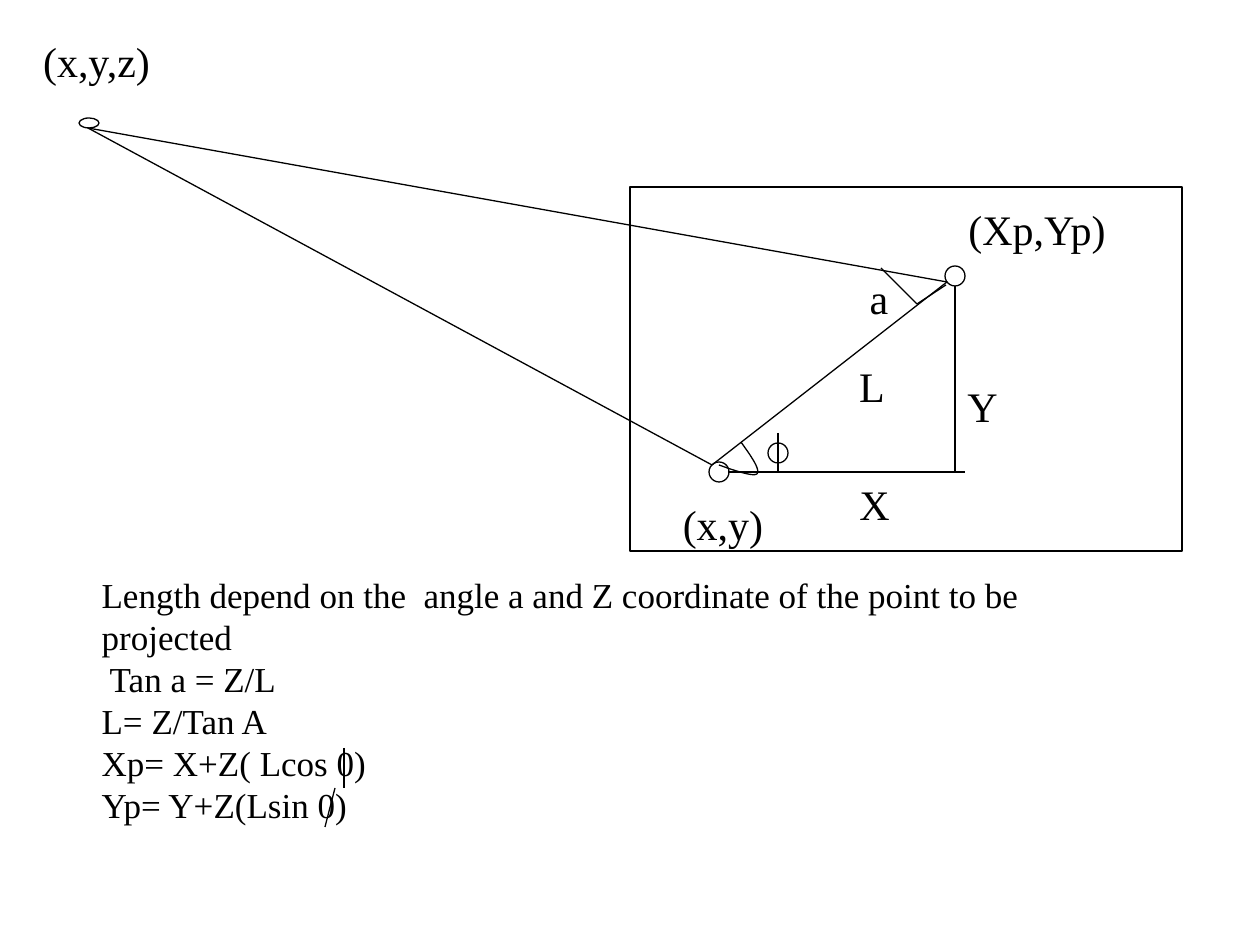
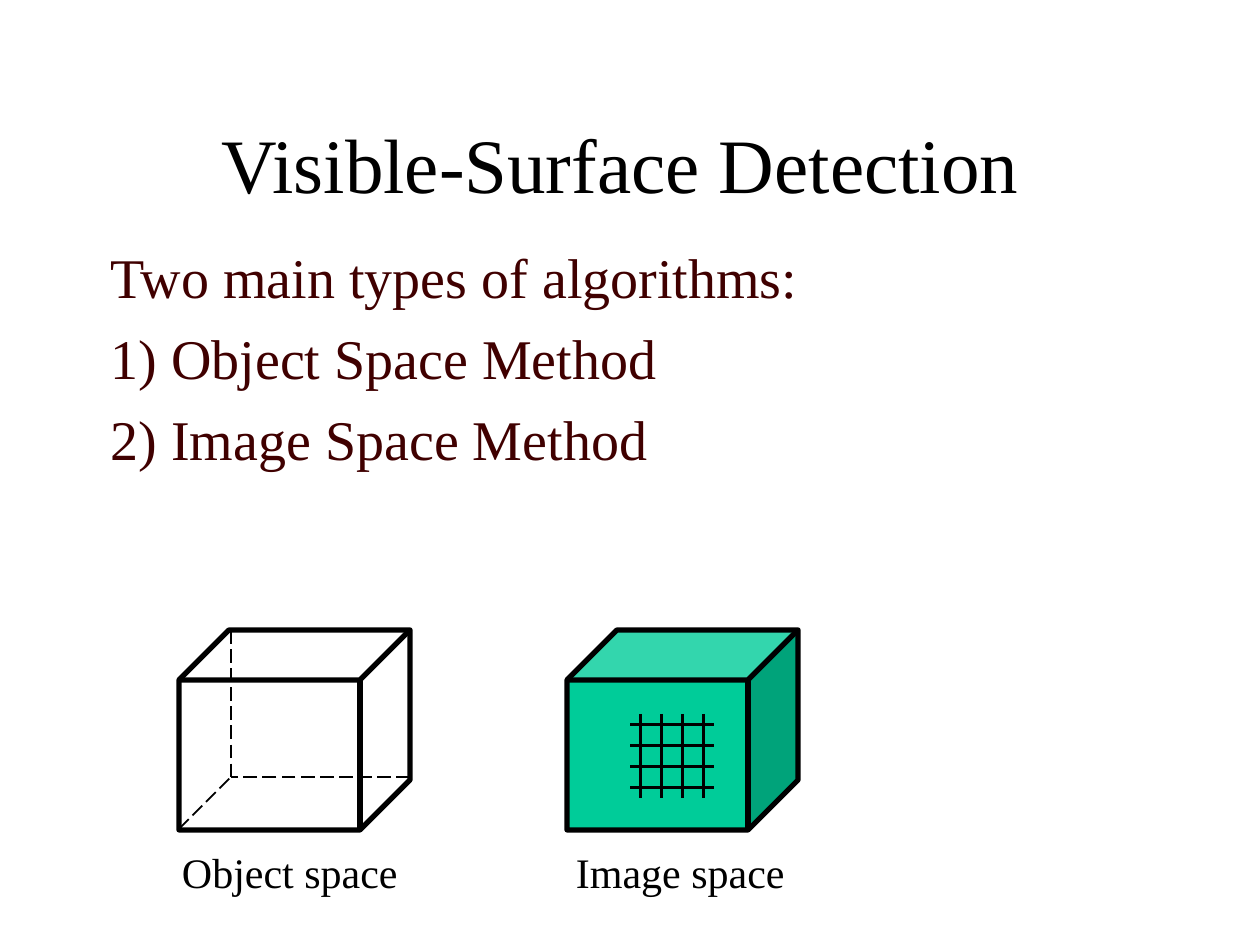
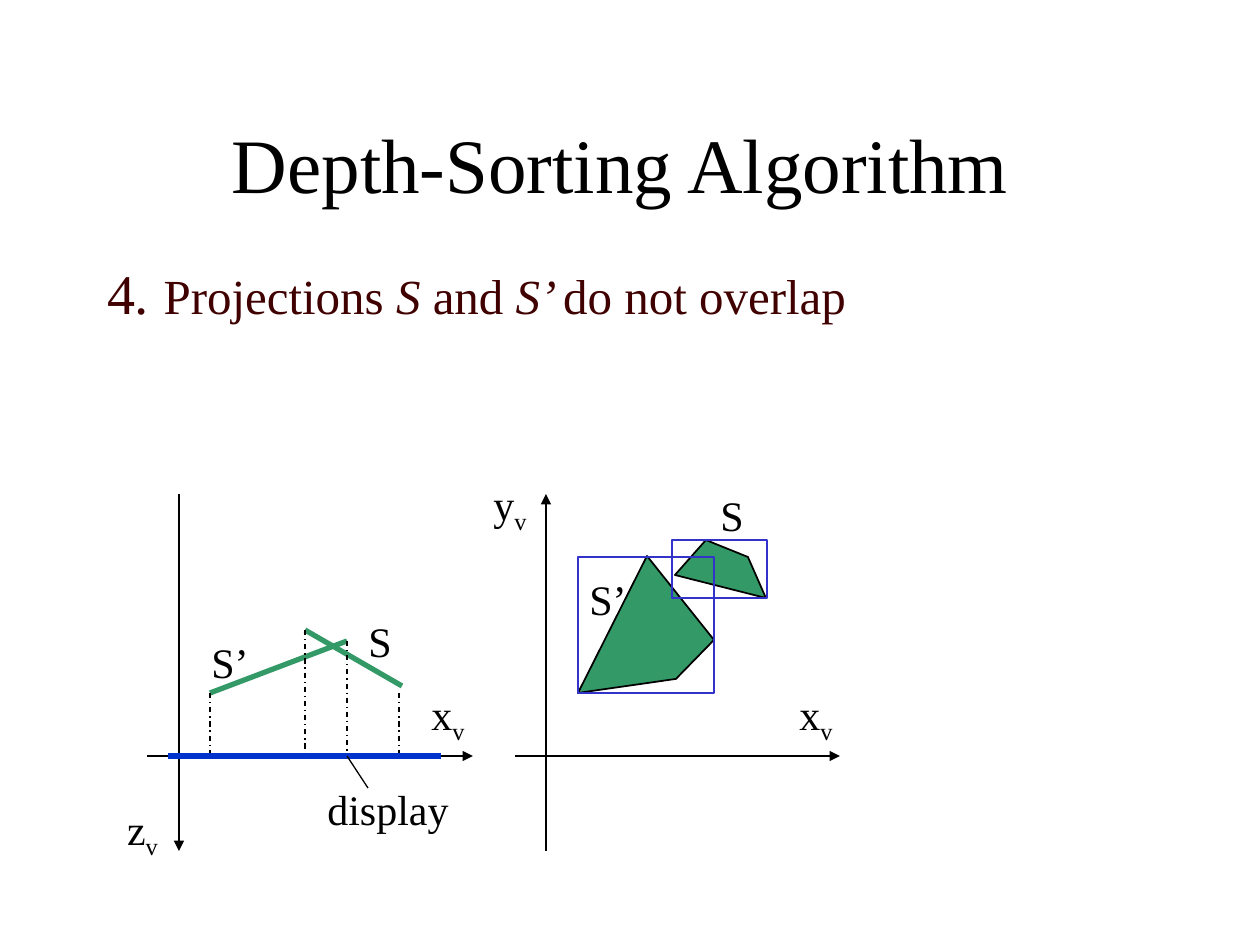
from dataclasses import dataclass

from lxml.etree import SubElement
from pptx import Presentation
from pptx.dml.color import RGBColor
from pptx.enum.dml import MSO_LINE
from pptx.enum.shapes import MSO_CONNECTOR, MSO_SHAPE
from pptx.enum.text import MSO_ANCHOR, MSO_AUTO_SIZE, PP_ALIGN
from pptx.oxml.ns import qn
from pptx.util import Emu, Pt

EMU_PER_PX = 914400 / 126
FONT = "Times New Roman"
LINE_HEIGHT = 1.2
TITLE_SIZE, BODY_SIZE, LABEL_SIZE, FORMULA_SIZE = 44, 32, 24, 20
THIN, MEDIUM, GRID, THICK = 0.75, 1, 1.5, 3

BLACK = RGBColor(0x00, 0x00, 0x00)
MAROON = RGBColor(0x40, 0x00, 0x00)
MINT = RGBColor(0x00, 0xCC, 0x99)
GREEN = RGBColor(0x33, 0x99, 0x66)
DISPLAY_BLUE = RGBColor(0x00, 0x33, 0xCC)
BOUNDS_BLUE = RGBColor(0x33, 0x33, 0xCC)

Point = tuple[float, float]
Box = tuple[int, int, int, int]

TITLE_BOX = (85, 84, 1071, 158)


@dataclass(frozen=True)
class Label:
    text: str
    left: int
    top: int
    width: int
    subscript: str = ""
    tab_stop: int = 0


@dataclass(frozen=True)
class Line:
    start: Point
    end: Point
    width: float = THIN
    color: RGBColor = BLACK
    dash: MSO_LINE | None = None
    arrow: bool = False


@dataclass(frozen=True)
class Run:
    text: str
    size: int
    italic: bool = False


def px(length: float) -> Emu:
    return Emu(round(length * EMU_PER_PX))


def style_paragraph(paragraph, size: int, color: RGBColor, align=PP_ALIGN.LEFT) -> None:
    paragraph.alignment = align
    paragraph.line_spacing = Pt(size * LINE_HEIGHT)
    font = paragraph.font
    font.name, font.size = FONT, Pt(size)
    font.color.rgb = color


def prepare_placeholder(placeholder, box: Box, anchor):
    """Move a placeholder and return its text frame, ready to fill."""
    placeholder.left, placeholder.top, placeholder.width, placeholder.height = map(px, box)
    frame = placeholder.text_frame
    frame.auto_size = MSO_AUTO_SIZE.NONE
    frame.word_wrap = True
    frame.vertical_anchor = anchor
    return frame


def set_title(slide, title: str) -> None:
    frame = prepare_placeholder(slide.shapes.title, TITLE_BOX, MSO_ANCHOR.MIDDLE)
    frame.text = title
    style_paragraph(frame.paragraphs[0], TITLE_SIZE, BLACK, PP_ALIGN.CENTER)


def set_body(slide, box: Box, items: list[list[Run]]) -> None:
    frame = prepare_placeholder(slide.placeholders[1], box, MSO_ANCHOR.TOP)
    for index, runs in enumerate(items):
        paragraph = frame.add_paragraph() if index else frame.paragraphs[0]
        properties = paragraph._p.get_or_add_pPr()
        properties.set("marL", "0")
        properties.set("indent", "0")
        SubElement(properties, qn("a:buNone"))
        paragraph.space_before = Pt(8 if index else 0)
        style_paragraph(paragraph, BODY_SIZE, MAROON)
        for part in runs:
            run = paragraph.add_run()
            run.text = part.text
            if part.size != BODY_SIZE:
                run.font.size = Pt(part.size)
            if part.italic:
                run.font.italic = True


def add_label(slide, label: Label) -> None:
    box = slide.shapes.add_textbox(px(label.left), px(label.top), px(label.width), px(63))
    frame = box.text_frame
    frame.word_wrap = False
    frame.margin_left = frame.margin_right = px(10)
    paragraph = frame.paragraphs[0]
    if label.tab_stop:
        tabs = SubElement(paragraph._p.get_or_add_pPr(), qn("a:tabLst"))
        SubElement(tabs, qn("a:tab"), pos=str(px(label.tab_stop)), algn="l")
    align = PP_ALIGN.LEFT if label.tab_stop else PP_ALIGN.CENTER
    style_paragraph(paragraph, LABEL_SIZE, BLACK, align)
    paragraph.add_run().text = label.text
    if label.subscript:
        run = paragraph.add_run()
        run.text = label.subscript
        run._r.get_or_add_rPr().set("baseline", "-25000")


def add_line(slide, line: Line) -> None:
    connector = slide.shapes.add_connector(
        MSO_CONNECTOR.STRAIGHT, *map(px, (*line.start, *line.end)))
    connector.line.width = Pt(line.width)
    connector.line.color.rgb = line.color
    if line.dash:
        connector.line.dash_style = line.dash
    properties = connector.element.spPr
    if line.arrow:
        SubElement(properties.find(qn("a:ln")), qn("a:tailEnd"), type="triangle")
    SubElement(properties, qn("a:effectLst"))


def outline(shape, width: float, color: RGBColor = BLACK, fill: RGBColor | None = None) -> None:
    shape.shadow.inherit = False
    shape.line.width = Pt(width)
    shape.line.color.rgb = color
    if fill is None:
        shape.fill.background()
    else:
        shape.fill.solid()
        shape.fill.fore_color.rgb = fill


def add_preset(slide, preset, box: Box, width: float, color: RGBColor = BLACK,
               fill: RGBColor | None = None) -> None:
    outline(slide.shapes.add_shape(preset, *map(px, box)), width, color, fill)


def add_path(slide, points: list[Point], width: float, fill: RGBColor | None = None) -> None:
    """Draw a polyline, closed only when it has a fill."""
    first, *rest = [(px(x), px(y)) for x, y in points]
    builder = slide.shapes.build_freeform(*first)
    builder.add_line_segments(rest, close=fill is not None)
    outline(builder.convert_to_shape(), width, fill=fill)


def bezier(p0: Point, p1: Point, p2: Point, p3: Point, steps: int = 12) -> list[Point]:
    """Sample a cubic curve, both ends included."""
    def at(t: float) -> Point:
        weights = ((1 - t) ** 3, 3 * t * (1 - t) ** 2, 3 * t * t * (1 - t), t ** 3)
        x, y = (sum(w * p[axis] for w, p in zip(weights, (p0, p1, p2, p3))) for axis in (0, 1))
        return x, y
    return [at(step / steps) for step in range(steps + 1)]


def build_projection(slide) -> None:
    formulas = [
        "Length depend on the  angle a and Z coordinate of the point to be projected",
        " Tan a = Z/L",
        "L= Z/Tan A",
        "Xp= X+Z( Lcos 0)",
        "Yp= Y+Z(Lsin 0)",
    ]
    frame = prepare_placeholder(slide.shapes.title, (89, 567, 1071, 270), MSO_ANCHOR.TOP)
    frame.text = "\v".join(formulas)
    style_paragraph(frame.paragraphs[0], FORMULA_SIZE, BLACK)

    add_preset(slide, MSO_SHAPE.RECTANGLE, (630, 187, 552, 364), THIN)

    source, foot, projected = (88, 128), (712, 465), (947, 282)
    zero_strokes = [Line((344, 748), (344, 788)), Line((335, 788), (325, 827))]
    for line in [
        Line(source, foot),
        Line(source, projected),
        Line(foot, projected),
        Line((728, 472), (965, 472)),
        Line((955, 286), (955, 472)),
        *zero_strokes,
    ]:
        add_line(slide, line)

    for dot in [(79, 118, 20, 10), (709, 462, 20, 20), (945, 266, 20, 20), (768, 443, 20, 20)]:
        add_preset(slide, MSO_SHAPE.OVAL, dot, THIN)
    add_line(slide, Line((778, 433), (778, 472)))

    angle_tip = (757, 474)
    angle_arc = (bezier((741, 442), (751, 456), (761, 470), angle_tip)
                 + bezier(angle_tip, (753, 478), (719, 465), (719, 465))[1:])
    add_path(slide, angle_arc, THIN)
    add_path(slide, [(881, 268), (917, 304), (946, 285)], THIN)

    for label in [
        Label("(x,y,z)", 29, 29, 135),
        Label("(x,y)", 670, 492, 106),
        Label("(Xp,Yp)", 954, 197, 166),
        Label("Y", 955, 374, 55),
        Label("X", 847, 472, 55),
        Label("L", 847, 354, 50),
        Label("a", 857, 266, 44),
    ]:
        add_label(slide, label)


def build_surface_detection(slide) -> None:
    set_title(slide, "Visible-Surface Detection")
    items = ["Two main types of algorithms:", "1) Object Space Method", "2) Image Space Method"]
    set_body(slide, (98, 236, 1061, 546), [[Run(item, BODY_SIZE)] for item in items])

    for left, fill in [(179, None), (567, MINT)]:
        add_preset(slide, MSO_SHAPE.CUBE, (left, 630, 231, 200), THICK, fill=fill)

    hidden_corner = (231, 777)
    for visible_corner in [(231, 630), (410, 777), (179, 829)]:
        add_line(slide, Line(visible_corner, hidden_corner, MEDIUM, dash=MSO_LINE.LONG_DASH))

    grid_left, grid_top, grid_side, grid_step = 630, 714, 84, 21
    for index in range(4):
        offset = (index + 0.5) * grid_step
        x, y = grid_left + offset, grid_top + offset
        add_line(slide, Line((x, grid_top), (x, grid_top + grid_side), GRID))
        add_line(slide, Line((grid_left, y), (grid_left + grid_side, y), GRID))

    add_label(slide, Label("Object space\tImage space", 172, 840, 627, tab_stop=394))


def build_depth_sorting(slide) -> None:
    set_title(slide, "Depth-Sorting Algorithm")
    set_body(slide, (95, 252, 914, 189), [[
        Run("4", BODY_SIZE), Run(". ", BODY_SIZE, True), Run("Projections ", 28),
        Run("S ", 28, True), Run("and ", 28), Run("S’ ", 28, True), Run("do not overlap", 28),
    ]])

    axis_y, axis_top, axis_bottom = 756, 494, 851
    surface_s = Line((305, 630), (402, 686), THICK, GREEN)
    surface_s_prime = Line((210, 693), (347, 641), THICK, GREEN)
    drops = [Line(top, (top[0], axis_y), dash=MSO_LINE.DASH_DOT)
             for top in [surface_s.start, (399, 693), surface_s_prime.start, surface_s_prime.end]]
    for line in [
        Line((147, axis_y), (473, axis_y), MEDIUM, arrow=True),
        Line((179, axis_top), (179, axis_bottom), MEDIUM, arrow=True),
        surface_s,
        surface_s_prime,
        *drops,
        Line((168, axis_y), (441, axis_y), THICK, DISPLAY_BLUE),
        Line((347, axis_y), (368, 788)),
        Line((515, axis_y), (840, axis_y), MEDIUM, arrow=True),
        Line((546, axis_bottom), (546, axis_top), MEDIUM, arrow=True),
    ]:
        add_line(slide, line)

    for polygon in [
        [(675, 575), (706, 540), (748, 557), (766, 598)],
        [(578, 693), (647, 556), (714, 640), (676, 679)],
    ]:
        add_path(slide, polygon, MEDIUM, GREEN)

    for label in [
        Label("x", 419, 689, 58, "v"),
        Label("z", 115, 804, 55, "v"),
        Label("display", 315, 777, 146),
        Label("x", 787, 689, 58, "v"),
        Label("y", 481, 479, 58, "v"),
        Label("S", 356, 609, 48),
        Label("S’", 199, 630, 62),
        Label("S", 708, 483, 48),
        Label("S’", 577, 567, 62),
    ]:
        add_label(slide, label)

    for bounds in [(578, 557, 136, 136), (672, 540, 95, 58)]:
        add_preset(slide, MSO_SHAPE.RECTANGLE, bounds, MEDIUM, BOUNDS_BLUE)


def main() -> None:
    presentation = Presentation()
    presentation.slide_width, presentation.slide_height = px(1260), px(945)
    title_and_content, title_only = presentation.slide_layouts[1], presentation.slide_layouts[5]
    for layout, build in [
        (title_only, build_projection),
        (title_and_content, build_surface_detection),
        (title_and_content, build_depth_sorting),
    ]:
        build(presentation.slides.add_slide(layout))
    presentation.save("out.pptx")


if __name__ == "__main__":
    main()
